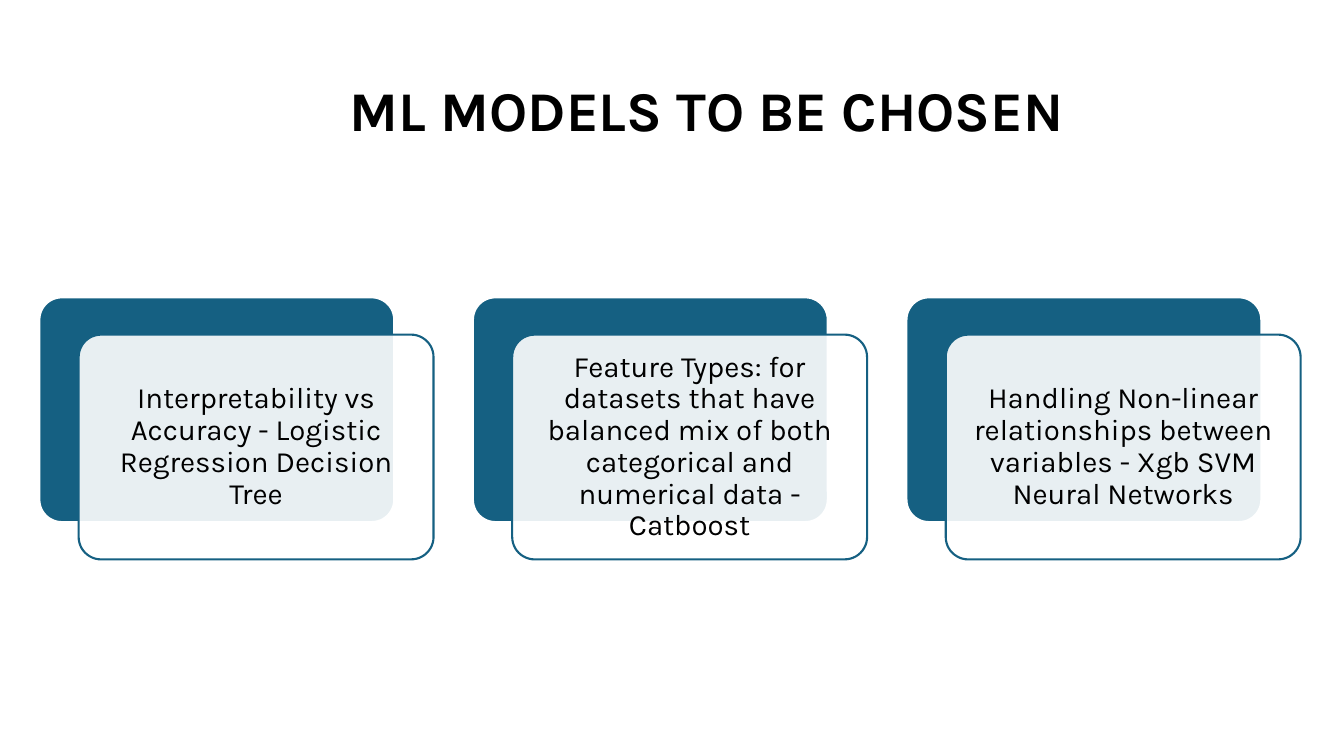
from lxml import etree
from pptx import Presentation
from pptx.dml.color import RGBColor
from pptx.enum.shapes import MSO_SHAPE as SHAPE
from pptx.enum.text import MSO_ANCHOR as ANCHOR, PP_ALIGN as ALIGN
from pptx.oxml.ns import qn
from pptx.util import Inches, Pt

FONT = "Karla"
BLUE, WHITE, BLACK = "156082", "FFFFFF", "000000"
CARDS = [
    "Interpretability vs Accuracy - Logistic Regression Decision Tree",
    "Feature Types: for datasets that have balanced mix of both "
    "categorical and numerical data - Catboost",
    "Handling Non-linear relationships between variables - "
    "Xgb SVM Neural Networks",
]


def rgb(value):
    return RGBColor.from_string(value)


def write(sp, text, size, align, bold=False):
    tf = sp.text_frame
    tf.text = text
    tf.word_wrap = True
    tf.vertical_anchor = ANCHOR.MIDDLE
    p = tf.paragraphs[0]
    p.alignment = align
    p.line_spacing = 0.9
    font = p.runs[0].font
    font.name, font.size, font.bold = FONT, Pt(size), bold
    font.color.rgb = rgb(BLACK)
    return tf


def add_title(slide, text, left, top, width, height):
    sp = slide.shapes.add_textbox(*map(Inches, (left, top, width, height)))
    tf = write(sp, text, 40, ALIGN.LEFT, bold=True)
    tf.margin_left = Inches(2.55)


def add_panel(slide, left, top, width, height, fill, line):
    sp = slide.shapes.add_shape(
        SHAPE.ROUNDED_RECTANGLE, *map(Inches, (left, top, width, height)))
    sp.adjustments[0] = 0.1
    sp.shadow.inherit = False
    sp.fill.solid()
    sp.fill.fore_color.rgb = rgb(fill)
    sp.line.color.rgb = rgb(line)
    sp.line.width = Pt(1.5)
    return sp


def add_card(slide, text, left, top, width, height):
    dx, dy = 0.39, 0.37
    w, h = width - dx, height - dy
    add_panel(slide, left, top, w, h, BLUE, WHITE)
    front = add_panel(slide, left + dx, top + dy, w, h, WHITE, BLUE)
    color = front.fill._xPr.find(".//" + qn("a:srgbClr"))
    etree.SubElement(color, qn("a:alpha"), val="90000")
    tf = write(front, text, 21, ALIGN.CENTER)
    tf.margin_left = tf.margin_right = Inches(0.09)
    tf.margin_top = tf.margin_bottom = Inches(0.09)


def add_cards(slide, texts, left, top, pitch, width, height):
    for i, text in enumerate(texts):
        add_card(slide, text, left + i * pitch, top, width, height)


def main():
    prs = Presentation()
    prs.slide_width, prs.slide_height = Inches(13.33), Inches(7.5)
    slide = prs.slides.add_slide(prs.slide_layouts[6])
    add_title(slide, "ML MODELS TO BE CHOSEN", 0.92, 0.4, 11.5, 1.45)
    add_cards(slide, CARDS, 0.39, 2.95, 4.3, 3.91, 2.6)
    prs.save("out.pptx")


if __name__ == "__main__":
    main()
